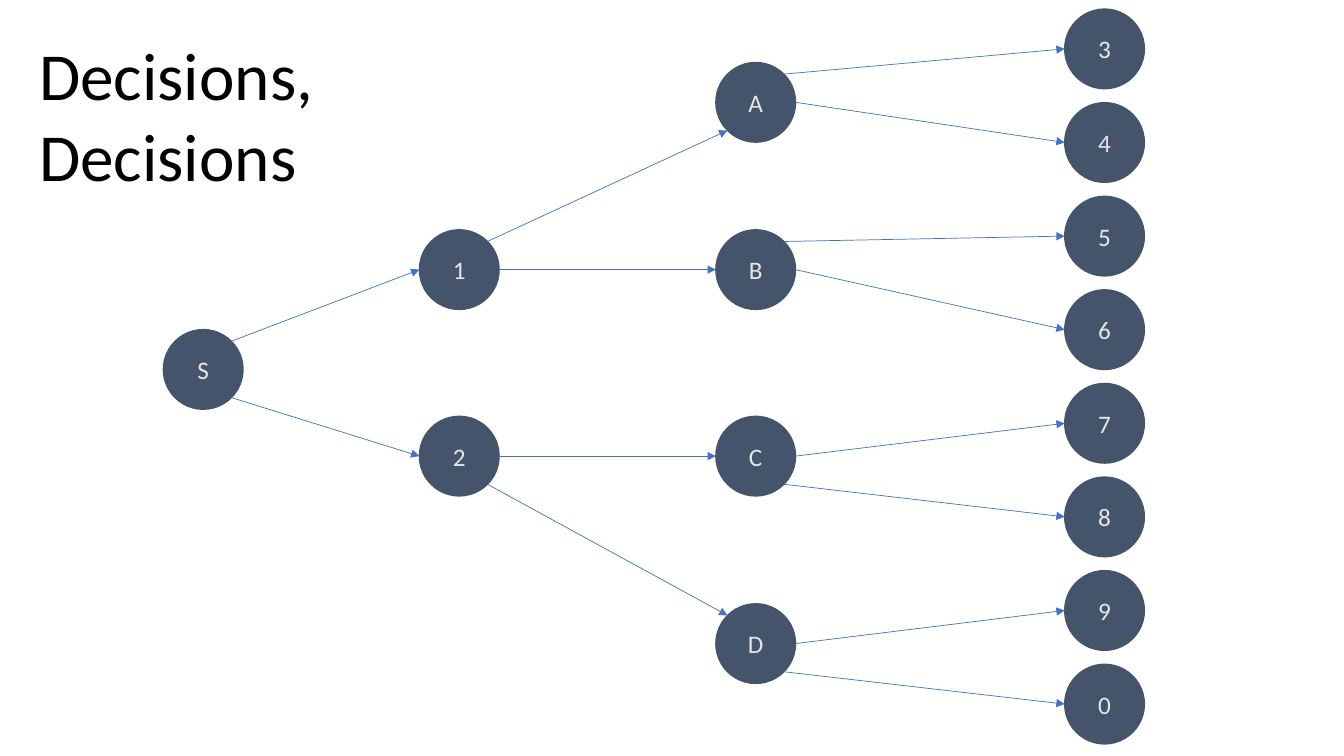
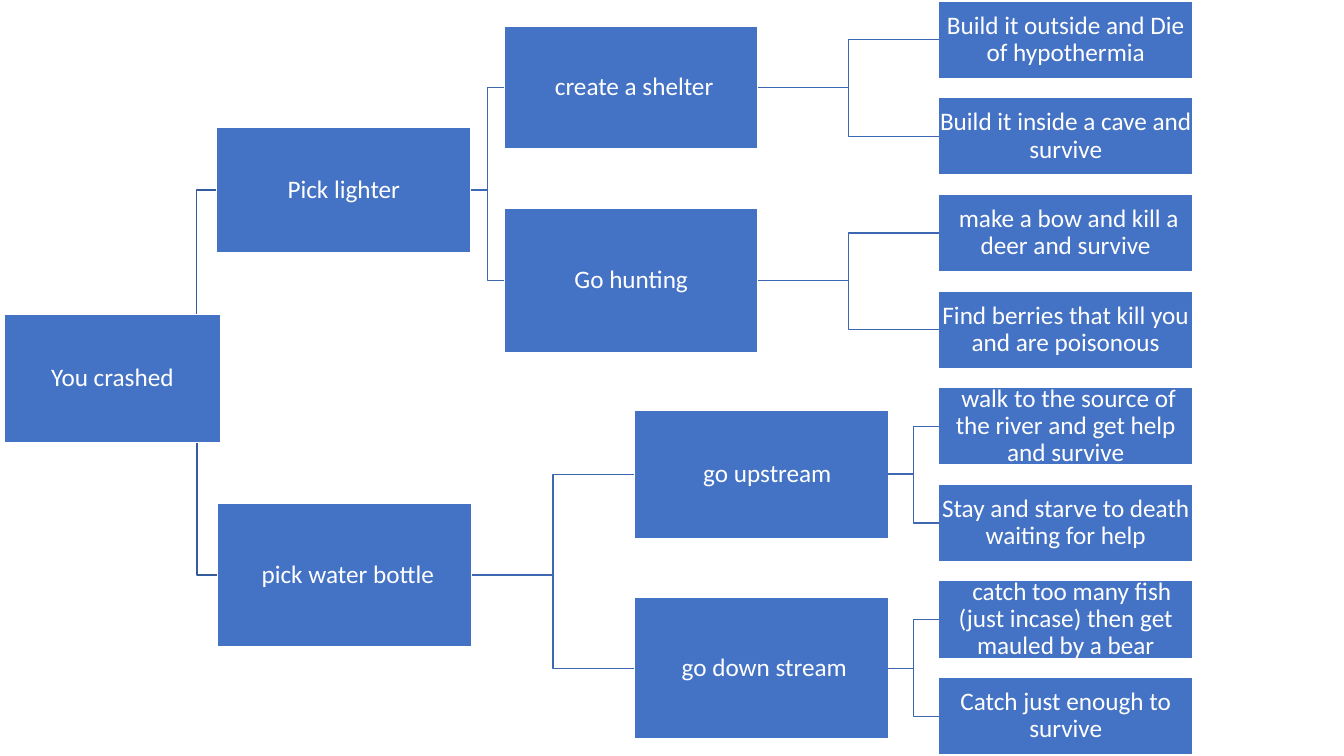
import math

import lxml.etree
import pptx
import pptx.dml.color
import pptx.enum.shapes
import pptx.enum.text
import pptx.oxml.ns
import pptx.util

Inches = pptx.util.Inches
Pt = pptx.util.Pt
SHAPE = pptx.enum.shapes.MSO_SHAPE
CONNECTOR = pptx.enum.shapes.MSO_CONNECTOR
ALIGN = pptx.enum.text.PP_ALIGN
ANCHOR = pptx.enum.text.MSO_ANCHOR
qn = pptx.oxml.ns.qn

FONT = "Calibri"
COLORS = {
    "title": "000000",
    "circle": "44546A",
    "circle_text": "E7E6E6",
    "accent": "4472C4",
    "white": "FFFFFF",
    "root_link": "365B9D",
    "link": "3E67B2",
}

# Circles: label -> left, top
DIAMETER = 0.79
CIRCLES = {
    "S": (1.62, 3.27),
    "1": (4.16, 2.28), "2": (4.16, 4.13),
    "A": (7.1, 0.62), "B": (7.1, 2.28), "C": (7.1, 4.13), "D": (7.1, 5.99),
}
OUTCOMES = "34567890"
OUTCOME_LEFT, OUTCOME_TOP, OUTCOME_LAST = 10.56, 0.09, 6.59

# Connection sites of an ellipse, counter-clockwise from the top
TOP_LEFT, LEFT, BOTTOM_LEFT, BOTTOM_RIGHT, RIGHT, TOP_RIGHT = 1, 2, 3, 5, 6, 7
ARROWS = [
    ("S", TOP_RIGHT, "1", LEFT), ("S", BOTTOM_RIGHT, "2", LEFT),
    ("1", TOP_RIGHT, "A", BOTTOM_LEFT), ("1", RIGHT, "B", LEFT),
    ("2", RIGHT, "C", LEFT), ("2", BOTTOM_RIGHT, "D", TOP_LEFT),
    ("A", TOP_RIGHT, "3", LEFT), ("A", RIGHT, "4", LEFT),
    ("B", TOP_RIGHT, "5", LEFT), ("B", RIGHT, "6", LEFT),
    ("C", RIGHT, "7", LEFT), ("C", BOTTOM_RIGHT, "8", LEFT),
    ("D", RIGHT, "9", LEFT), ("D", BOTTOM_RIGHT, "0", LEFT),
]

# Boxes: left, top, width, height; indents shift the first line
BOX_W = 2.52
ROOT = ("You crashed", (0.04, 3.12, 2.15, 1.27))
ROOT_LINK_START = (1.75, 3.75)
CHOICES = [
    ("Pick lighter", (2.15, 1.26, BOX_W, 1.25), 0),
    ("pick water bottle", (2.16, 4.99, BOX_W, 1.43), 0.06),
]
ACTIONS = [
    ("create a shelter", (5, 0.26, BOX_W, 1.22), 0.06),
    ("Go hunting", (5, 2.07, BOX_W, 1.43), 0),
    ("go upstream", (6.29, 4.07, BOX_W, 1.27), 0.12),
    ("go down stream", (6.29, 5.93, BOX_W, 1.4), 0.06),
]
ENDINGS = [
    ("Build it outside and Die of hypothermia", 0),
    ("Build it inside a cave and survive", 0),
    ("make a bow and kill a deer and survive", 0.06),
    ("Find berries that kill you and are poisonous", 0),
    ("walk to the source of the river and get help and survive", 0.06),
    ("Stay and starve to death waiting for help", 0),
    ("catch too many fish (just incase) then get mauled by a bear", 0.12),
    ("Catch just enough to survive", 0),
]
ENDING_LEFT, ENDING_TOP, ENDING_LAST, ENDING_H = 9.31, 0.01, 6.72, 0.77


def rgb(name):
    return pptx.dml.color.RGBColor.from_string(COLORS[name])


def spread(first, last, count):
    """Return evenly spaced positions from first to last."""
    return [first + (last - first) * i / (count - 1) for i in range(count)]


def write(shape, text, size=18, color="white", align=ALIGN.CENTER,
          anchor=ANCHOR.MIDDLE, inset=0.01, spacing=None, indent=0):
    tf = shape.text_frame
    tf.word_wrap = True
    tf.vertical_anchor = anchor
    tf.margin_left = tf.margin_right = Inches(inset)
    tf.margin_top = tf.margin_bottom = Inches(min(inset, 0.05))
    p = tf.paragraphs[0]
    p.alignment = align
    p.line_spacing = spacing
    if indent:
        pPr = p._p.get_or_add_pPr()
        pPr.set("marL", "0")
        pPr.set("indent", str(Inches(indent)))
    r = p.add_run()
    r.text = text
    r.font.name = FONT
    r.font.size = Pt(size)
    r.font.color.rgb = rgb(color)


def add_node(s, kind, at, fill, line):
    sp = s.shapes.add_shape(kind, *map(Inches, at))
    sp.shadow.inherit = False
    sp.fill.solid()
    sp.fill.fore_color.rgb = rgb(fill)
    sp.line.color.rgb = rgb(line)
    sp.line.width = Pt(1)
    return sp


def add_circle(s, label, left, top):
    sp = add_node(s, SHAPE.OVAL, (left, top, DIAMETER, DIAMETER),
                  "circle", "circle")
    write(sp, label, color="circle_text")
    return sp


def add_box(s, text, at, indent=0):
    sp = add_node(s, SHAPE.RECTANGLE, at, "accent", "white")
    write(sp, text, spacing=0.9, indent=indent)
    return sp


def add_line(s, kind, start, end, color, width):
    """Draw a connector between two points given in EMU."""
    c = s.shapes.add_connector(kind, *start, *end)
    c.line.color.rgb = rgb(color)
    c.line.width = Pt(width)
    lxml.etree.SubElement(c._element.spPr, qn("a:effectLst"))
    return c


def site_point(circle, site):
    angle = math.pi / 2 + site * math.pi / 4
    radius = circle.width / 2
    return (round(circle.left + radius * (1 + math.cos(angle))),
            round(circle.top + radius * (1 - math.sin(angle))))


def add_arrow(s, source, source_site, target, target_site):
    c = add_line(s, CONNECTOR.STRAIGHT, site_point(source, source_site),
                 site_point(target, target_site), "accent", 0.5)
    lxml.etree.SubElement(c.line._get_or_add_ln(), qn("a:tailEnd"),
                          type="triangle")
    glue = c._element.nvCxnSpPr.cNvCxnSpPr
    for tag, circle, site in (("a:stCxn", source, source_site),
                              ("a:endCxn", target, target_site)):
        lxml.etree.SubElement(glue, qn(tag), id=str(circle.shape_id),
                              idx=str(site))


def add_links(s, parents, children):
    """Join each parent's right side to its two children."""
    for i, child in enumerate(children):
        c = add_line(s, CONNECTOR.ELBOW, (0, 0), (0, 0), "link", 1)
        c.begin_connect(parents[i // 2], 3)
        c.end_connect(child, 1)


def add_title(s, text):
    sp = s.shapes.add_textbox(*map(Inches, (0.29, 0.28, 3.39, 1.72)))
    write(sp, text, size=48, color="title", align=ALIGN.LEFT,
          anchor=ANCHOR.TOP, inset=0.1)
    sp.text_frame.auto_size = pptx.enum.text.MSO_AUTO_SIZE.SHAPE_TO_FIT_TEXT


def build_decision_graph(s):
    tops = spread(OUTCOME_TOP, OUTCOME_LAST, len(OUTCOMES))
    places = CIRCLES | {label: (OUTCOME_LEFT, top)
                        for label, top in zip(OUTCOMES, tops)}
    circles = {label: add_circle(s, label, *place)
               for label, place in places.items()}
    for source, source_site, target, target_site in ARROWS:
        add_arrow(s, circles[source], source_site,
                  circles[target], target_site)
    add_title(s, "Decisions, Decisions")


def build_story_tree(s):
    # The root's links start behind its box, so they come first
    for _, (left, top, _, height), _ in CHOICES:
        add_line(s, CONNECTOR.ELBOW, map(Inches, ROOT_LINK_START),
                 (Inches(left), Inches(top + height / 2)), "root_link", 1)
    add_box(s, *ROOT)
    choices = [add_box(s, *choice) for choice in CHOICES]
    actions = [add_box(s, *action) for action in ACTIONS]
    tops = spread(ENDING_TOP, ENDING_LAST, len(ENDINGS))
    endings = [add_box(s, text, (ENDING_LEFT, top, BOX_W, ENDING_H), indent)
               for (text, indent), top in zip(ENDINGS, tops)]
    add_links(s, choices, actions)
    add_links(s, actions, endings)


def main():
    prs = pptx.Presentation()
    prs.slide_width, prs.slide_height = Inches(13.33), Inches(7.5)
    for build in (build_decision_graph, build_story_tree):
        build(prs.slides.add_slide(prs.slide_layouts[6]))
    prs.save("out.pptx")


if __name__ == "__main__":
    main()
